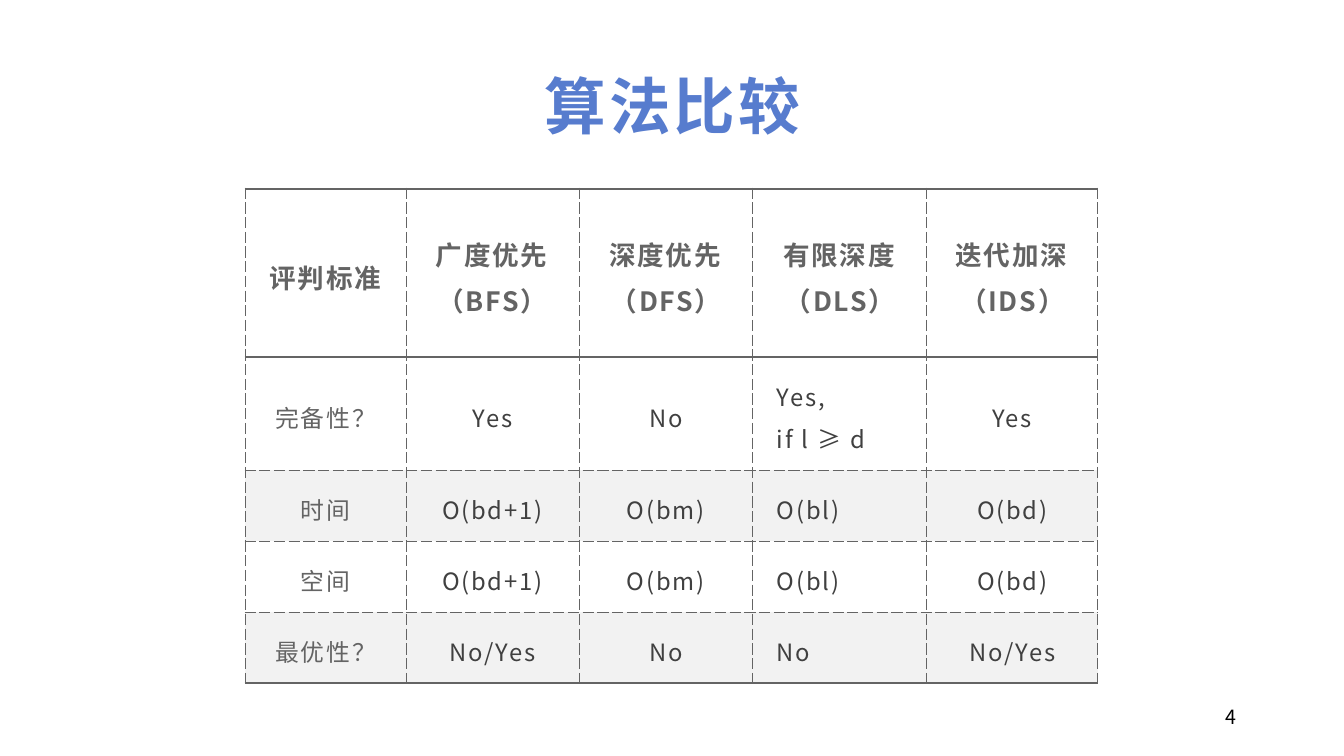
import lxml.etree
import pptx
import pptx.dml.color
import pptx.enum.text
import pptx.oxml.ns
import pptx.util

PX = 914400 / 100.8
SLIDE_SIZE = (1344, 756)
FONT = "Noto Sans CJK SC"
BLUE = pptx.dml.color.RGBColor(0x57, 0x7C, 0xCE)
BLACK = pptx.dml.color.RGBColor(0x00, 0x00, 0x00)
GREY = pptx.dml.color.RGBColor(0x64, 0x64, 0x64)
DARK = pptx.dml.color.RGBColor(0x40, 0x40, 0x40)
WHITE = pptx.dml.color.RGBColor(0xFF, 0xFF, 0xFF)
PALE = pptx.dml.color.RGBColor(0xF2, 0xF2, 0xF2)

ALIGN = pptx.enum.text.PP_ALIGN
MIDDLE = pptx.enum.text.MSO_ANCHOR.MIDDLE
TITLE_FORMAT = {"size": pptx.util.Pt(44), "bold": True}
NUMBER_FORMAT = {"size": pptx.util.Pt(14), "bold": False}
HEADER_FORMAT = {"size": pptx.util.Pt(19), "bold": True}
BODY_FORMAT = {"size": pptx.util.Pt(17), "bold": False}

COLUMN_WIDTHS = [161, 173, 174, 174, 171]
ROW_HEIGHTS = [168, 113, 71, 71, 71]
LIMITED_COLUMN = 3
COMPARISON = [
    ["评判标准", "广度优先（BFS）", "深度优先（DFS）", "有限深度（DLS）", "迭代加深（IDS）"],
    ["完备性？", "Yes", "No", "Yes,\nif l ≥ d", "Yes"],
    ["时间", "O(bd+1)", "O(bm)", "O(bl)", "O(bd)"],
    ["空间", "O(bd+1)", "O(bm)", "O(bl)", "O(bd)"],
    ["最优性？", "No/Yes", "No", "No", "No/Yes"],
]


def px(length):
    """Turn pixels into EMU."""
    return pptx.util.Emu(round(length * PX))


def set_values(target, values):
    """Set attributes from a dict of format values."""
    for name, value in values.items():
        setattr(target, name, value)


def write_text(frame, text, font_format, color, alignment, spacing=0, line_spacing=None):
    """Fill a text frame with one paragraph for each line of text."""
    frame.text = text
    for paragraph in frame.paragraphs:
        set_values(paragraph, {"alignment": alignment, "line_spacing": line_spacing})
        for run in paragraph.runs:
            set_values(run.font, {"name": FONT, **font_format})
            run.font.color.rgb = color
            properties = run._r.get_or_add_rPr()
            properties.set("spc", str(spacing))
            east_asian = lxml.etree.SubElement(properties, pptx.oxml.ns.qn("a:ea"))
            east_asian.set("typeface", FONT)


def add_text(slide, box, text, font_format, color, alignment, anchor, spacing=0):
    """Add a wrapping text box in the given box."""
    frame = slide.shapes.add_textbox(*map(px, box)).text_frame
    set_values(frame, {"word_wrap": True, "vertical_anchor": anchor})
    write_text(frame, text, font_format, color, alignment, spacing)


def add_borders(cell, heavy_sides):
    """Draw solid heavy borders on the named sides and thin dashes on the others."""
    qn = pptx.oxml.ns.qn
    properties = cell._tc.get_or_add_tcPr()
    for position, side in enumerate("LRTB"):
        heavy = side in heavy_sides
        line = lxml.etree.Element(qn(f"a:ln{side}"), w=str(pptx.util.Pt(2.25 if heavy else 0.75)))
        fill = lxml.etree.SubElement(line, qn("a:solidFill"))
        lxml.etree.SubElement(fill, qn("a:srgbClr"), val=str(GREY))
        lxml.etree.SubElement(line, qn("a:prstDash"), val="solid" if heavy else "sysDash")
        properties.insert(position, line)


def add_comparison(slide, left, top):
    """Add the table of search algorithms at the given corner."""
    size = (sum(COLUMN_WIDTHS), sum(ROW_HEIGHTS))
    last = len(COMPARISON) - 1
    heavy_sides = {0: "TB", 1: "T", last: "B"}
    table = slide.shapes.add_table(
        len(COMPARISON), len(COLUMN_WIDTHS), *map(px, (left, top, *size))
    ).table
    set_values(table, {"first_row": False, "horz_banding": False})
    for column, width in zip(table.columns, COLUMN_WIDTHS):
        column.width = px(width)
    for row, height in zip(table.rows, ROW_HEIGHTS):
        row.height = px(height)
    cell_format = {
        "margin_left": px(24), "margin_right": px(24),
        "margin_top": px(15), "margin_bottom": px(15), "vertical_anchor": MIDDLE,
    }
    for row_index, texts in enumerate(COMPARISON):
        header = row_index == 0
        striped = row_index > 0 and row_index % 2 == 0
        for column_index, text in enumerate(texts):
            cell = table.cell(row_index, column_index)
            set_values(cell, cell_format)
            cell.fill.solid()
            cell.fill.fore_color.rgb = PALE if striped else WHITE
            add_borders(cell, heavy_sides.get(row_index, ""))
            left_aligned = not header and column_index == LIMITED_COLUMN
            write_text(
                cell.text_frame, text,
                HEADER_FORMAT if header else BODY_FORMAT,
                GREY if header or column_index == 0 else DARK,
                ALIGN.LEFT if left_aligned else ALIGN.CENTER,
                spacing=130, line_spacing=1.2,
            )


def build_comparison_slide(presentation):
    """Add the slide with its title, table and page number."""
    slide = presentation.slides.add_slide(presentation.slide_layouts[6])
    add_text(slide, (45, 42, 1255, 126), "算法比较", TITLE_FORMAT, BLUE,
             ALIGN.CENTER, MIDDLE, spacing=200)
    add_comparison(slide, 245, 189)
    add_text(slide, (949, 700, 297, 35), "4", NUMBER_FORMAT, BLACK,
             ALIGN.RIGHT, pptx.enum.text.MSO_ANCHOR.TOP)


def main():
    """Build and save the presentation."""
    presentation = pptx.Presentation()
    width, height = map(px, SLIDE_SIZE)
    set_values(presentation, {"slide_width": width, "slide_height": height})
    build_comparison_slide(presentation)
    presentation.save("out.pptx")


if __name__ == "__main__":
    main()
